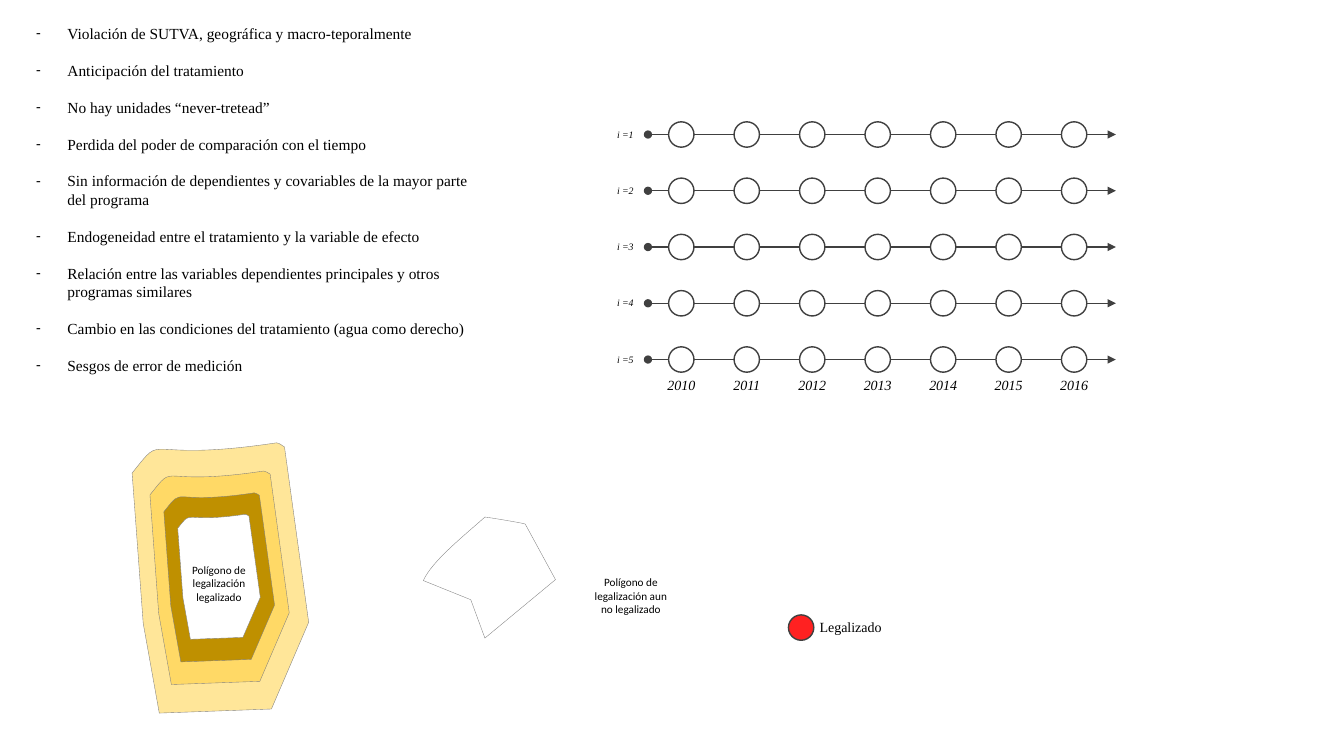
from dataclasses import dataclass

from lxml import etree
from pptx import Presentation
from pptx.dml.color import RGBColor
from pptx.enum.shapes import MSO_CONNECTOR, MSO_SHAPE
from pptx.enum.text import MSO_AUTO_SIZE, PP_ALIGN
from pptx.oxml.ns import qn
from pptx.util import Cm, Pt

OVAL = MSO_SHAPE.OVAL
STRAIGHT = MSO_CONNECTOR.STRAIGHT
LEFT, CENTER = PP_ALIGN.LEFT, PP_ALIGN.CENTER
FIT_SHAPE = MSO_AUTO_SIZE.SHAPE_TO_FIT_TEXT


@dataclass(frozen=True)
class Theme:
    ink: str = "000000"
    paper: str = "FFFFFF"
    stroke: str = "404040"
    border: str = "808080"
    legalized: str = "FF2121"
    rings: tuple = ("FFE699", "FFD966", "BF9000", "FFFFFF")
    serif: str = "Times New Roman"
    sans: str = "Calibri"
    list_size: float = 11
    year_size: float = 10
    zone_size: float = 8
    unit_size: float = 7
    list_gap: float = 13.15
    stroke_width: float = 1
    border_width: float = 0.25


THEME = Theme()

PROBLEMS = [
    "Violación de SUTVA, geográfica y macro-teporalmente",
    "Anticipación del tratamiento",
    "No hay unidades “never-tretead”",
    "Perdida del poder de comparación con el tiempo",
    "Sin información de dependientes y covariables de la mayor parte del programa",
    "Endogeneidad entre el tratamiento y la variable de efecto",
    "Relación entre las variables dependientes principales y otros programas similares",
    "Cambio en las condiciones del tratamiento (agua como derecho)",
    "Sesgos de error de medición",
]
YEARS = range(2010, 2017)
UNITS = range(1, 6)
DOT = 0.64

RING_BOXES = [
    (3.33, 11.16, 4.45, 6.81),
    (3.78, 11.87, 3.51, 5.38),
    (4.13, 12.42, 2.79, 4.26),
    (4.48, 12.96, 2.08, 3.15),
]
RING_OUTLINE = [
    [(6.3, 66.8)], [(15.4, 100)], [(78.9, 98.5)], [(100, 66.4)], [(86.3, 1.5)],
    [(85.1, 1.1), (83.4, 0), (81.7, 0)],
    [(2.3, 7.8), (20, -5.2), (0, 11.2)],
]
PENDING_OUTLINE = [
    [(0, 52.5)], [(35.9, 68.3)], [(46.6, 100)], [(100, 51.7)], [(77.1, 5.8)],
    [(75.6, 5), (48.1, 0), (46.6, 0)],
    [(32.1, 14.2), (6.1, 36.7), (0, 52.5)],
]


def color(code):
    return RGBColor.from_string(code)


def paint(shape, fill, line, width):
    shape.shadow.inherit = False
    shape.fill.solid()
    shape.fill.fore_color.rgb = color(fill)
    shape.line.color.rgb = color(line)
    shape.line.width = Pt(width)


def add_text(shapes, box, lines, size, font, align=CENTER, italic=False, wrap=True):
    text_box = shapes.add_textbox(*map(Cm, box))
    frame = text_box.text_frame
    frame.word_wrap = wrap
    frame.auto_size = FIT_SHAPE
    frame.text = "\n".join(lines)
    for paragraph in frame.paragraphs:
        paragraph.alignment = align
        for run in paragraph.runs:
            run.font.size = Pt(size)
            run.font.name = font
            run.font.italic = italic
            run.font.color.rgb = color(THEME.ink)
    return frame


def add_dot(shapes, center_x, center_y, fill):
    dot = shapes.add_shape(
        OVAL, Cm(center_x - DOT / 2), Cm(center_y - DOT / 2), Cm(DOT), Cm(DOT))
    paint(dot, fill, THEME.stroke, THEME.stroke_width)


def add_polygon(shapes, box, outline, fill):
    left, top, width, height = box

    def local(point):
        return Cm(point[0] * width / 100), Cm(point[1] * height / 100)

    corners = [local(segment[-1]) for segment in outline]
    builder = shapes.build_freeform(*corners[0])
    builder.add_line_segments(corners[1:], close=True)
    polygon = builder.convert_to_shape(Cm(left), Cm(top))
    sides = list(polygon._element.iter(qn("a:lnTo")))
    for side, segment in zip(sides, outline[1:]):
        if len(segment) == 3:
            side.tag = qn("a:cubicBezTo")
            for index, control in enumerate(segment[:2]):
                x, y = local(control)
                side.insert(index, side.makeelement(qn("a:pt"), x=str(x), y=str(y)))
    paint(polygon, fill, THEME.border, THEME.border_width)


def add_time_arrow(shapes, start, end, y):
    arrow = shapes.add_connector(STRAIGHT, Cm(start), Cm(y), Cm(end), Cm(y))
    arrow.line.color.rgb = color(THEME.stroke)
    arrow.line.width = Pt(THEME.stroke_width)
    properties = arrow._element.spPr
    line = properties.find(qn("a:ln"))
    etree.SubElement(line, qn("a:headEnd"), type="oval")
    etree.SubElement(line, qn("a:tailEnd"), type="triangle")
    etree.SubElement(properties, qn("a:effectLst"))


def problem_list(shapes, box):
    frame = add_text(shapes, box, PROBLEMS, THEME.list_size, THEME.serif, LEFT)
    for paragraph in frame.paragraphs:
        paragraph.space_after = Pt(THEME.list_gap)
        properties = paragraph._p.get_or_add_pPr()
        properties.set("marL", str(Cm(0.79)))
        properties.set("indent", str(Cm(-0.79)))
        etree.SubElement(properties, qn("a:buFont"), typeface=THEME.sans)
        etree.SubElement(properties, qn("a:buChar"), char="-")


def legalized_zone(shapes, label_box):
    for box, fill in zip(RING_BOXES, THEME.rings):
        add_polygon(shapes, box, RING_OUTLINE, fill)
    add_text(shapes, label_box, ["Polígono de legalización legalizado"],
             THEME.zone_size, THEME.sans)


def pending_zone(shapes, box):
    left, top, width, _ = box
    add_polygon(shapes, box, PENDING_OUTLINE, THEME.paper)
    add_text(shapes, (left + width + 0.68, top + 1.35, 2.44, 1.27),
             ["Polígono de legalización aun no legalizado"],
             THEME.zone_size, THEME.sans)


def timeline(shapes, box):
    left, top, width, height = box
    row_gap = height / (len(UNITS) - 1)
    rows = [top + index * row_gap for index in range(len(UNITS))]
    for y in rows:
        add_time_arrow(shapes, left, left + width, y)
    for index, year in enumerate(YEARS):
        x = left + 0.84 + index * 1.65
        column = shapes.add_group_shape().shapes
        for y in rows:
            add_dot(column, x, y, THEME.paper)
        add_text(column, (x - 0.61, top + height + 0.3, 1.22, 0.69), [str(year)],
                 THEME.year_size, THEME.serif, italic=True, wrap=False)
    for unit, y in zip(UNITS, rows):
        add_text(shapes, (left - 1.04, y - 0.28, 0.94, 0.56), [f"i ={unit}"],
                 THEME.unit_size, THEME.serif, italic=True, wrap=False)


def legend(shapes, box):
    left, top, width, height = box
    add_dot(shapes, left + DOT / 2, top + height / 2, THEME.legalized)
    add_text(shapes, (left + 0.51, top, width - 0.51, height), ["Legalizado"],
             THEME.year_size, THEME.serif, wrap=False)


def main():
    presentation = Presentation()
    presentation.slide_width = Cm(33.87)
    presentation.slide_height = Cm(19.05)
    shapes = presentation.slides.add_slide(presentation.slide_layouts[6]).shapes
    legalized_zone(shapes, (4.3, 14.07, 2.44, 1.27))
    problem_list(shapes, (0.66, 0.48, 11.71, 9.19))
    pending_zone(shapes, (10.67, 13.03, 3.33, 3.05))
    timeline(shapes, (16.33, 3.39, 11.79, 5.67))
    legend(shapes, (19.87, 15.47, 2.62, 0.69))
    presentation.save("out.pptx")


if __name__ == "__main__":
    main()
